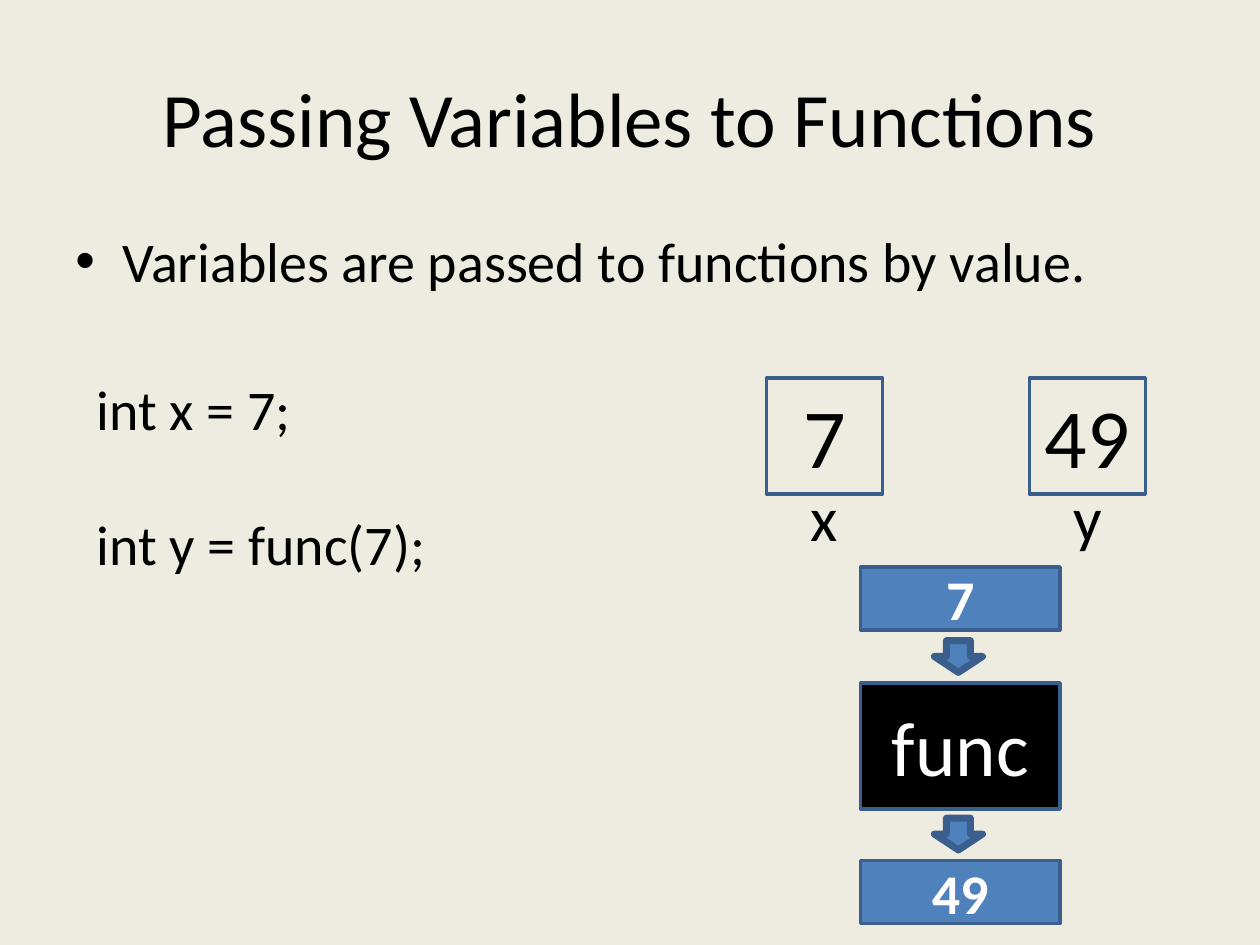
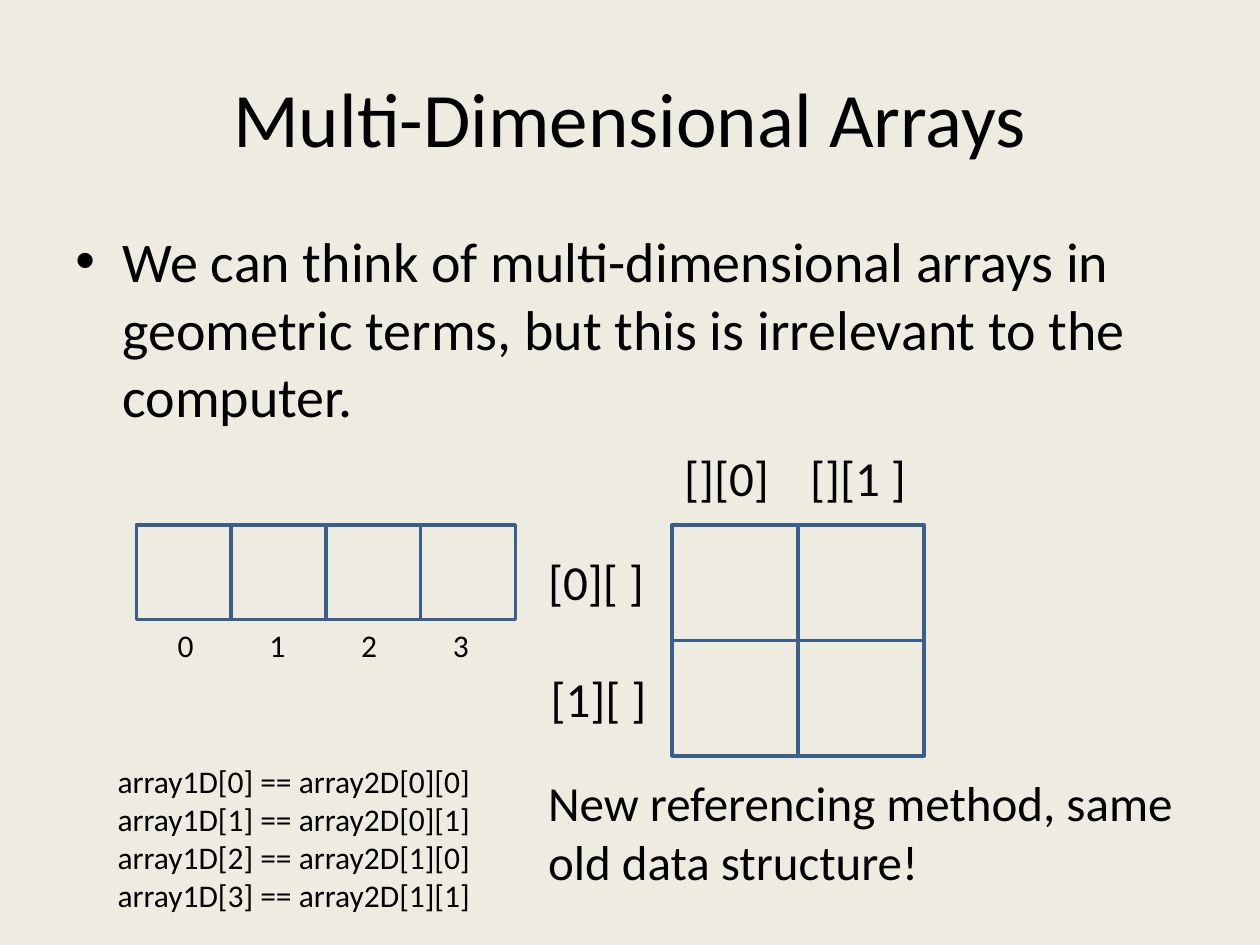
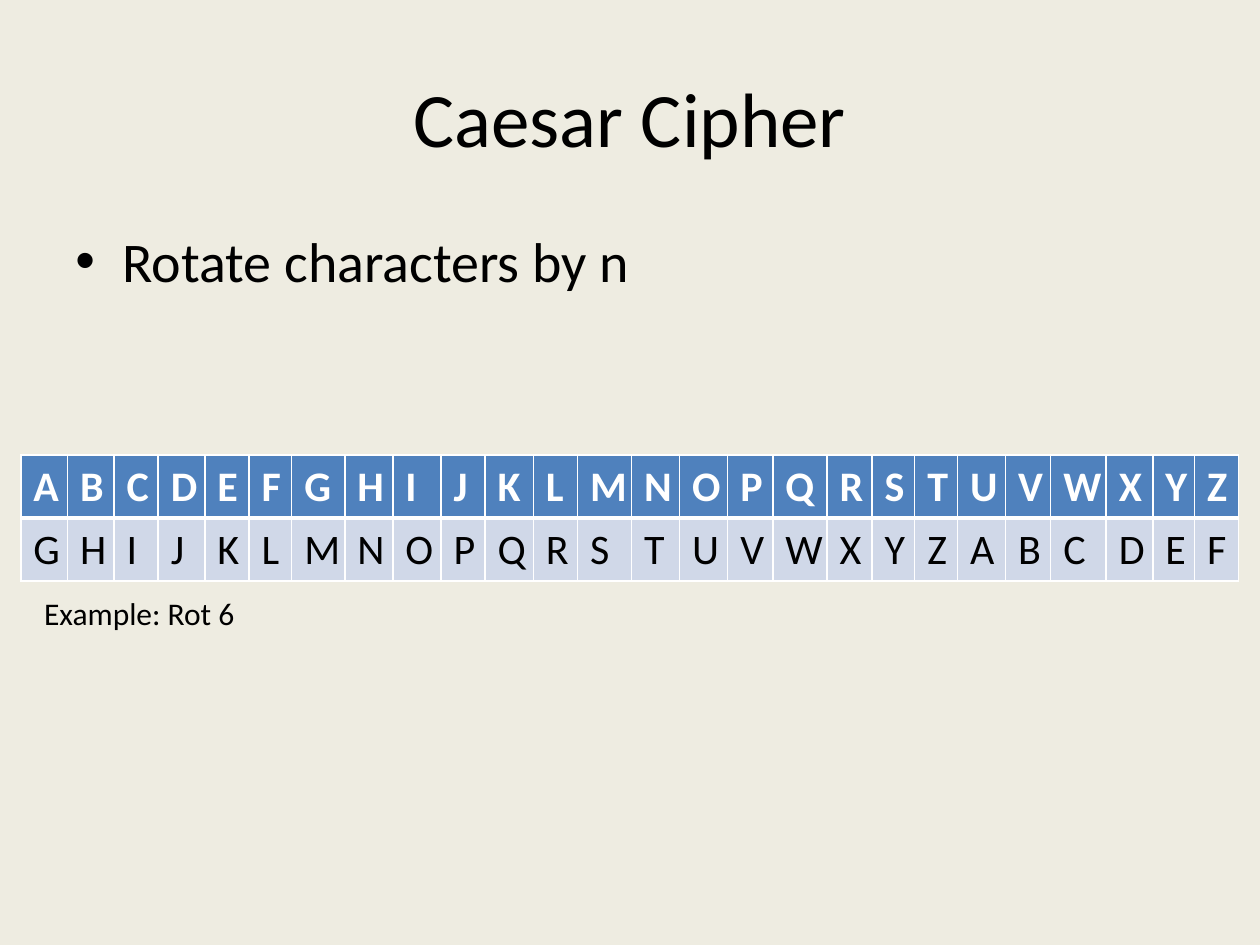
"""Build three programming lecture slides about functions, arrays and ciphers."""
import pptx
import pptx.dml.color
import pptx.enum.shapes
import pptx.enum.text
import pptx.oxml
import pptx.oxml.ns
import pptx.util

Cm = pptx.util.Cm
Pt = pptx.util.Pt
SHAPE = pptx.enum.shapes.MSO_SHAPE
CENTER = pptx.enum.text.PP_ALIGN.CENTER
MIDDLE = pptx.enum.text.MSO_ANCHOR.MIDDLE
GROW = pptx.enum.text.MSO_AUTO_SIZE.SHAPE_TO_FIT_TEXT

FONT = "Calibri"
PAPER, INK, WHITE = "EEECE1", "000000", "FFFFFF"
BLUE, OUTLINE, PALE = "4F81BD", "3A5F8C", "D0D8E8"

PASSING = "Passing Variables to Functions", "Variables are passed to functions by value."
ARRAYS = ("Multi-Dimensional Arrays",
          "We can think of multi-dimensional arrays in geometric terms, "
          "but this is irrelevant to the computer.")
CIPHER = "Caesar Cipher", "Rotate characters by n"

CODE_LINES = ["int x = 7;", "int y = func(7);"]
VARIABLES = [("x", "7", 15.45, 1.9), ("y", "49", 20.75, 2.34)]
CALL_STAGES = [
    ("7", 11.43, 1.27, BLUE, {"size": 32, "bold": True}),
    ("func", 13.77, 2.54, INK, {"size": 44}),
    ("49", 17.35, 1.27, BLUE, {"size": 32, "bold": True}),
]
CALL_ARROW_TOPS = [12.75, 16.33]

INDEX_ROW = "\t0\t1\t2\t3"
ROW_LABELS = [("[0][ ]", 10.8, 11.0), ("[1][ ]", 10.85, 13.36)]
COLUMN_LABELS = [("[][0]", 13.54, 2.26), ("[][1 ]", 16.08, 2.49)]
EQUALITIES = [f"array1D[{2 * row + column}] == array2D[{row}][{column}]"
              for row in range(2) for column in range(2)]
CONCLUSION = "New referencing method, same old data structure!"

ALPHABET = "ABCDEFGHIJKLMNOPQRSTUVWXYZ"
ROTATION = 6
COLUMN_WIDTHS = [0.94, 0.94, 0.89, 0.94, 0.89, 0.86, 1.07, 0.97, 0.97, 0.89, 0.97, 0.89, 1.09,
                 0.97, 0.97, 0.91, 1.09, 0.91, 0.86, 0.86, 0.97, 0.91, 1.12, 0.94, 0.84, 0.89]


def rgb(value):
    return pptx.dml.color.RGBColor.from_string(value)


def write(frame, lines, size, color=INK, bold=False, align=None, gap=0):
    for number, line in enumerate(lines):
        para = frame.paragraphs[0] if number == 0 else frame.add_paragraph()
        para.alignment = align
        if number and gap:
            para.space_before = Pt(gap)
        span = para.add_run()
        span.text = line
        for name, value in {"name": FONT, "size": Pt(size), "bold": bold}.items():
            setattr(span.font, name, value)
        span.font.color.rgb = rgb(color)


def add_text(page, lines, place, size, wrap=True, grow=True, anchor=None, **style):
    box = page.shapes.add_textbox(*map(Cm, place))
    frame = box.text_frame
    settings = {"word_wrap": wrap, "vertical_anchor": anchor}
    if grow:
        settings["auto_size"] = GROW
    for name, value in settings.items():
        setattr(frame, name, value)
    write(frame, lines, size, **style)
    return frame.paragraphs[0]


def add_block(page, place, kind=SHAPE.RECTANGLE, fill=None, line=2, rotation=0):
    block = page.shapes.add_shape(kind, *map(Cm, place))
    block.shadow.inherit = False
    block.rotation = rotation
    if fill:
        block.fill.solid()
        block.fill.fore_color.rgb = rgb(fill)
    else:
        block.fill.background()
    block.line.color.rgb = rgb(OUTLINE)
    block.line.width = Pt(line)
    return block


def add_grid(page, left, top, width, height, columns, rows=1):
    for row in range(rows):
        for column in range(columns):
            add_block(page, (left + column * width, top + row * height, width, height))


def paragraph_xml(para, tag, attributes, inner=""):
    element = pptx.oxml.parse_xml(
        f'<a:{tag} {pptx.oxml.ns.nsdecls("a")} {attributes}>{inner}</a:{tag}>')
    para._p.get_or_add_pPr().append(element)


def add_page(deck, title, bullet):
    page = deck.slides.add_slide(deck.slide_layouts[6])
    page.background.fill.solid()
    page.background.fill.fore_color.rgb = rgb(PAPER)
    add_text(page, [title], (1.27, 0.76, 22.86, 3.18), 44, grow=False, anchor=MIDDLE, align=CENTER)
    para = add_text(page, [bullet], (1.27, 4.45, 22.86, 1.7), 32, grow=False)
    properties = para._p.get_or_add_pPr()
    for name, value in {"marL": Cm(0.95), "indent": Cm(-0.95)}.items():
        properties.set(name, str(int(value)))
    paragraph_xml(para, "buFont", 'typeface="Arial"')
    paragraph_xml(para, "buChar", 'char="•"')
    return page


def build_passing(deck):
    page = add_page(deck, *PASSING)
    add_text(page, CODE_LINES, (1.7, 7.42, 7.62, 4.37), 32, gap=39)
    side = 2.34
    for name, value, left, width in VARIABLES:
        add_block(page, (left, 7.62, side, side))
        add_text(page, [value], (left + (side - width) / 2, 7.62, width, 2.31), 48, align=CENTER)
        add_text(page, [name], (left + 0.64, 9.53, 0.84, 1.8), 36)
    for label, top, height, fill, style in CALL_STAGES:
        block = add_block(page, (17.35, top, 4.02, height), fill=fill)
        block.text_frame.vertical_anchor = MIDDLE
        write(block.text_frame, [label], color=WHITE, align=CENTER, **style)
    for top in CALL_ARROW_TOPS:
        add_block(page, (19, top, 0.64, 0.97), SHAPE.RIGHT_ARROW, BLUE, line=4, rotation=90)


def build_arrays(deck):
    page = add_page(deck, *ARRAYS)
    add_grid(page, 2.75, 10.58, 1.91, 1.91, columns=4)
    para = add_text(page, [INDEX_ROW], (2.75, 12.49, 7.41, 1.02), 18)
    stops = "".join(f'<a:tab pos="{int(Cm(0.58 + 1.85 * number))}" algn="l"/>'
                    for number in range(4))
    paragraph_xml(para, "tabLst", "", stops)
    add_grid(page, 13.55, 10.58, 2.54, 2.33, columns=2, rows=2)
    for label, left, top in ROW_LABELS:
        add_text(page, [label], (left, top, 2.49, 1.45), 28, wrap=False)
    for label, left, width in COLUMN_LABELS:
        add_text(page, [label], (left, 8.89, width, 1.45), 28, wrap=False)
    add_text(page, EQUALITIES, (2.12, 15.24, 7.7, 3.33), 18, wrap=False)
    add_text(page, [CONCLUSION], (10.8, 15.45, 13.97, 2.64), 28)


def style_cell(cell, fill, borders):
    properties = cell._tc.get_or_add_tcPr()
    for side, width in borders.items():
        properties.append(pptx.oxml.parse_xml(
            f'<a:ln{side} {pptx.oxml.ns.nsdecls("a")} w="{int(Pt(width))}"><a:solidFill>'
            f'<a:srgbClr val="{WHITE}"/></a:solidFill></a:ln{side}>'))
    cell.fill.solid()
    cell.fill.fore_color.rgb = rgb(fill)


def build_cipher(deck):
    page = add_page(deck, *CIPHER)
    rows = [
        (ALPHABET, BLUE, {"L": 1, "R": 1, "T": 1, "B": 3}, {"color": WHITE, "bold": True}),
        (ALPHABET[ROTATION:] + ALPHABET[:ROTATION], PALE, {"L": 1, "R": 1, "T": 3, "B": 1}, {}),
    ]
    place = (0.42, 9.17, sum(COLUMN_WIDTHS), 2.54)
    table = page.shapes.add_table(len(rows), len(ALPHABET), *map(Cm, place)).table
    table.horz_banding = False
    for column, width in zip(table.columns, COLUMN_WIDTHS):
        column.width = Cm(width)
    for row, (letters, fill, borders, style) in enumerate(rows):
        for column, letter in enumerate(letters):
            cell = table.cell(row, column)
            style_cell(cell, fill, borders)
            write(cell.text_frame, [letter], 24, **style)
    add_text(page, [f"Example: Rot {ROTATION}"], (0.64, 11.85, 4.39, 1.02), 18, wrap=False)


def main():
    deck = pptx.Presentation()
    deck.slide_width, deck.slide_height = Cm(25.4), Cm(19.05)
    for build in (build_passing, build_arrays, build_cipher):
        build(deck)
    deck.save("out.pptx")


if __name__ == "__main__":
    main()
